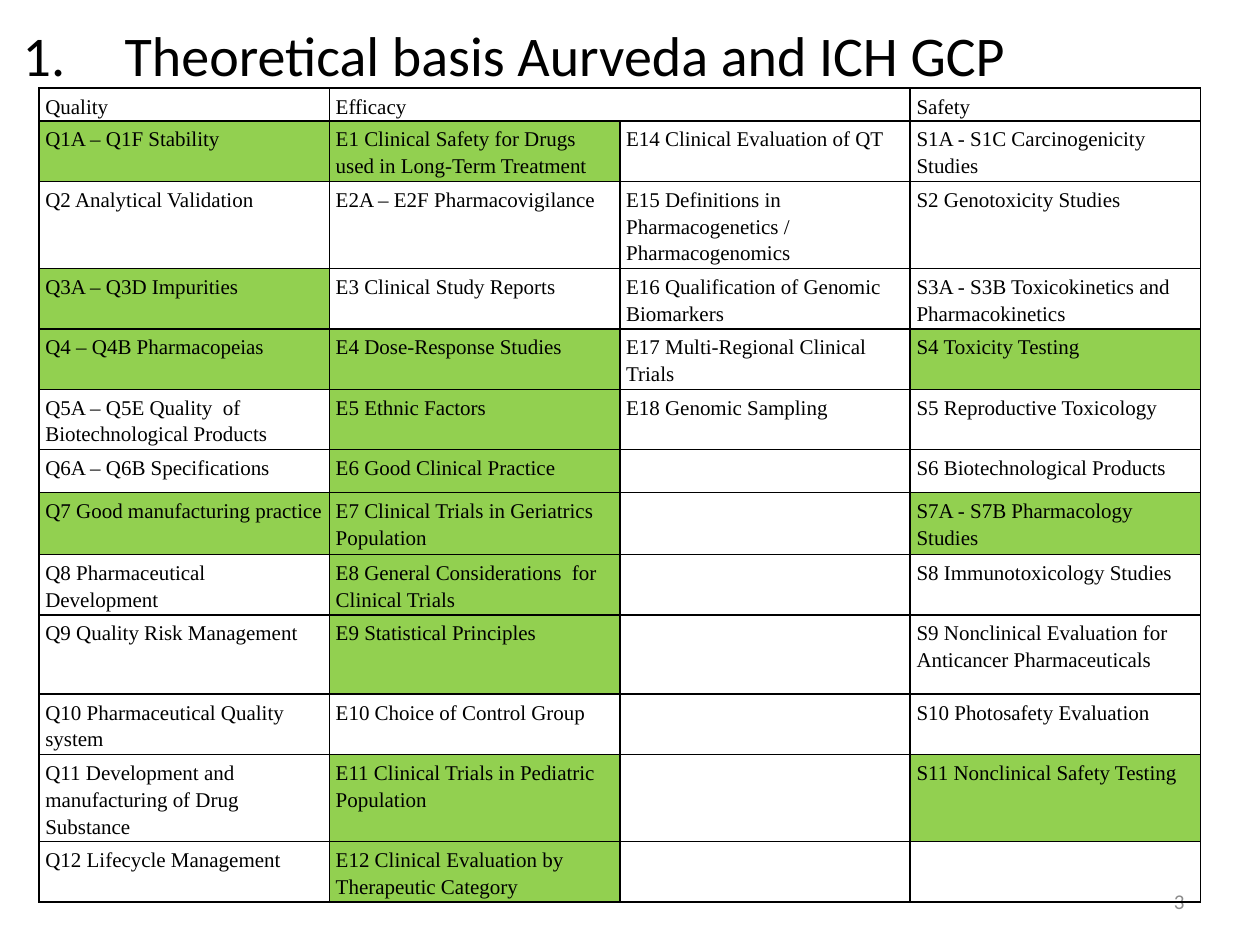
from lxml import etree
from pptx import Presentation
from pptx.dml.color import RGBColor
from pptx.enum.text import MSO_ANCHOR, PP_ALIGN
from pptx.oxml.ns import qn
from pptx.util import Inches, Pt

LEFT, RIGHT = PP_ALIGN.LEFT, PP_ALIGN.RIGHT
MIDDLE = MSO_ANCHOR.MIDDLE
SERIF, SANS = "Times New Roman", "Calibri"
BLACK, GREY, GREEN = "000000", "8C8C8C", "92D050"
MARK = "*"

HEIGHTS = [0.26, 0.48, 0.69, 0.48, 0.48, 0.48, 0.34, 0.49, 0.48, 0.63, 0.48, 0.69, 0.48]
ROWS = [
    ["Quality", "Efficacy", "", "Safety"],
    ["*Q1A – Q1F Stability", "*E1 Clinical Safety for Drugs used in Long-Term Treatment",
     "E14 Clinical Evaluation of QT", "S1A - S1C Carcinogenicity Studies"],
    ["Q2 Analytical Validation", "E2A – E2F Pharmacovigilance",
     "E15 Definitions in Pharmacogenetics / Pharmacogenomics", "S2 Genotoxicity Studies"],
    ["*Q3A – Q3D Impurities", "E3 Clinical Study Reports",
     "E16 Qualification of Genomic Biomarkers",
     "S3A - S3B Toxicokinetics and Pharmacokinetics"],
    ["*Q4 – Q4B Pharmacopeias", "*E4 Dose-Response Studies",
     "E17 Multi-Regional Clinical Trials", "*S4 Toxicity Testing"],
    ["Q5A – Q5E Quality  of Biotechnological Products", "*E5 Ethnic Factors",
     "E18 Genomic Sampling", "S5 Reproductive Toxicology"],
    ["Q6A – Q6B Specifications", "*E6 Good Clinical Practice", "",
     "S6 Biotechnological Products"],
    ["*Q7 Good manufacturing practice", "*E7 Clinical Trials in Geriatrics Population", "",
     "*S7A - S7B Pharmacology Studies"],
    ["Q8 Pharmaceutical Development", "*E8 General Considerations  for Clinical Trials", "",
     "S8 Immunotoxicology Studies"],
    ["Q9 Quality Risk Management", "*E9 Statistical Principles", "",
     "S9 Nonclinical Evaluation for Anticancer Pharmaceuticals"],
    ["Q10 Pharmaceutical Quality system", "E10 Choice of Control Group", "",
     "S10 Photosafety Evaluation"],
    ["Q11 Development and manufacturing of Drug Substance",
     "*E11 Clinical Trials in Pediatric Population", "", "*S11 Nonclinical Safety Testing"],
    ["Q12 Lifecycle Management", "*E12 Clinical Evaluation by Therapeutic Category", "", ""],
]


def color(code):
    """Turn a hex string into a colour."""
    return RGBColor.from_string(code)


def write(frame, text, size=12, font=SERIF, tint=BLACK, align=LEFT, line=None, after=None):
    """Put one formatted paragraph into a text frame and return it."""
    para = frame.paragraphs[0]
    para.alignment = align
    para.line_spacing = line
    para.space_after = None if after is None else Pt(after)
    run = para.add_run()
    run.text = text
    run.font.size = Pt(size)
    run.font.name = font
    run.font.bold = False
    run.font.color.rgb = color(tint)
    return para


def place(shape, box):
    """Move a shape to a box given in inches."""
    shape.left, shape.top, shape.width, shape.height = map(Inches, box)


def add_title(slide, box):
    """Fill the title placeholder with a numbered heading."""
    title = slide.shapes.title
    place(title, box)
    title.text_frame.word_wrap = True
    title.text_frame.vertical_anchor = MIDDLE
    para = write(title.text_frame, "Theoretical basis Aurveda and ICH GCP", size=32, font=SANS)
    props = para._p.get_or_add_pPr()
    props.set("marL", str(Inches(0.81)))
    props.set("indent", str(-Inches(0.81)))
    etree.SubElement(props, qn("a:buFont"), typeface="+mj-lt")
    etree.SubElement(props, qn("a:buAutoNum"), type="arabicPeriod")


def add_number(slide, box):
    """Add the page number."""
    frame = slide.shapes.add_textbox(*map(Inches, box)).text_frame
    frame.word_wrap = True
    frame.vertical_anchor = MIDDLE
    write(frame, "3", font=SANS, tint=GREY, align=RIGHT)


def add_edges(cell):
    """Draw a thin black line on all sides of a cell."""
    props = cell._tc.get_or_add_tcPr()
    for spot, side in enumerate(("lnL", "lnR", "lnT", "lnB")):
        line = etree.Element(qn("a:" + side), w=str(Pt(1)))
        fill = etree.SubElement(line, qn("a:solidFill"))
        etree.SubElement(fill, qn("a:srgbClr"), val=BLACK)
        props.insert(spot, line)


def fill_cell(cell, text):
    """Format one cell, green if its text is marked."""
    cell.margin_left = cell.margin_right = Inches(0.05)
    cell.margin_top, cell.margin_bottom = Inches(0.03), Inches(0.01)
    if text.startswith(MARK):
        cell.fill.solid()
        cell.fill.fore_color.rgb = color(GREEN)
    else:
        cell.fill.background()
    add_edges(cell)
    write(cell.text_frame, text.lstrip(MARK), line=Pt(15.3), after=10)


def add_guides(slide, box):
    """Add the table of guidelines."""
    table = slide.shapes.add_table(len(ROWS), len(ROWS[0]), *map(Inches, box)).table
    table.first_row = table.horz_banding = False
    for col in table.columns:
        col.width = Inches(box[2] / len(ROWS[0]))
    for r, (high, texts) in enumerate(zip(HEIGHTS, ROWS)):
        table.rows[r].height = Inches(high)
        for c, text in enumerate(texts):
            fill_cell(table.cell(r, c), text)
    table.cell(0, 1).merge(table.cell(0, 2))


def main():
    """Build and save the slide."""
    deck = Presentation()
    deck.slide_width, deck.slide_height = Inches(10), Inches(7.5)
    slide = deck.slides.add_slide(deck.slide_layouts[5])
    add_title(slide, (0.08, 0, 9, 0.86))
    add_number(slide, (7.17, 6.95, 2.33, 0.4))
    add_guides(slide, (0.31, 0.7, 9.22, sum(HEIGHTS)))
    deck.save("out.pptx")


if __name__ == "__main__":
    main()
